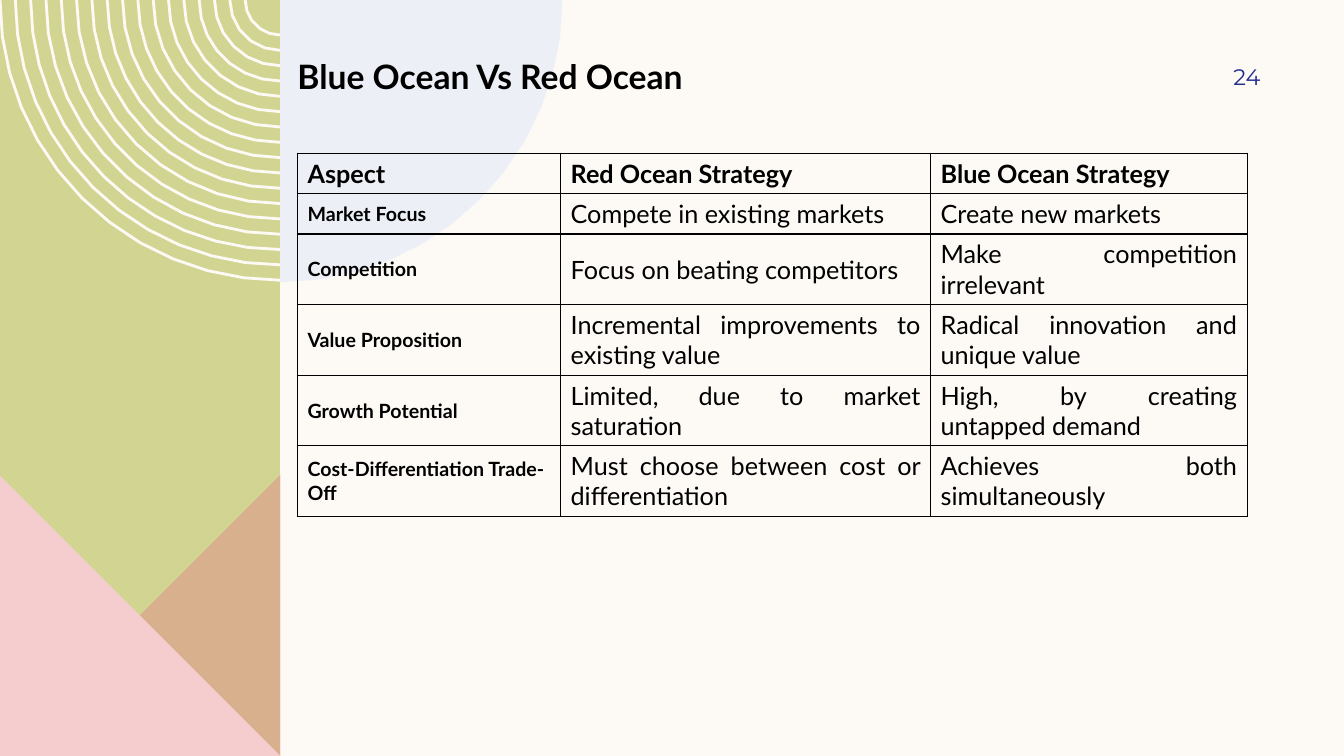
from math import ceil, cos, pi, sin, sqrt

from lxml.etree import SubElement
from pptx import Presentation
from pptx.dml.color import RGBColor
from pptx.enum.text import MSO_ANCHOR, PP_ALIGN
from pptx.oxml.ns import qn
from pptx.util import Inches, Pt

CREAM, GREEN, PINK, ROSE = "FDFAF6", "D2D592", "F5CDCE", "DE8C8C"
PALE_BLUE, NAVY, BLACK = "DDE7F6", "1F2C8F", "000000"
RING_COUNT, RING_STEP, RING_POINTS = 17, 0.152, 2
COLUMN_WIDTHS = [2.61, 3.67, 3.14]
ROW_HEIGHTS = [0.4, 0.4, 0.7, 0.7, 0.7, 0.7]
COMPARISON = [
    ("Aspect", "Red Ocean Strategy", "Blue Ocean Strategy"),
    ("Market Focus", "Compete in existing markets", "Create new markets"),
    ("Competition", "Focus on beating competitors", "Make competition irrelevant"),
    ("Value Proposition", "Incremental improvements to existing value",
     "Radical innovation and unique value"),
    ("Growth Potential", "Limited, due to market saturation",
     "High, by creating untapped demand"),
    ("Cost-Differentiation Trade-Off", "Must choose between cost or differentiation",
     "Achieves both simultaneously"),
]


def rgb(color):
    return RGBColor.from_string(color)


def quarter_arc(center_x, center_y, radius, start):
    """Points of a 90 degree arc; larger arcs get more points."""
    steps = ceil(7 * sqrt(radius))
    angles = [start + pi / 2 * i / steps for i in range(steps + 1)]
    return [(center_x + radius * cos(a), center_y + radius * sin(a)) for a in angles]


def add_freeform(slide, contours, close):
    """Draw contours, given in inches, as one freeform without a shadow."""
    contours = [[(Inches(x), Inches(y)) for x, y in points] for points in contours]
    builder = slide.shapes.build_freeform(*contours[0][0])
    for points in contours:
        if points is not contours[0]:
            builder.move_to(*points[0])
        builder.add_line_segments(points[1:], close=close)
    freeform = builder.convert_to_shape()
    freeform.shadow.inherit = False
    return freeform


def add_area(slide, points, color, opacity=None):
    area = add_freeform(slide, [points], close=True)
    area.line.fill.background()
    area.fill.solid()
    area.fill.fore_color.rgb = rgb(color)
    if opacity:
        fill_color = area.element.spPr.find(qn("a:solidFill"))[0]
        SubElement(fill_color, qn("a:alpha"), val=str(opacity * 1000))


def add_rings(slide, center_x, center_y, outer_radius):
    radii = [outer_radius - i * RING_STEP for i in range(RING_COUNT)]
    arcs = [quarter_arc(center_x, center_y, radius, pi / 2) for radius in radii]
    rings = add_freeform(slide, arcs, close=False)
    rings.fill.background()
    rings.line.color.rgb = rgb(CREAM)
    rings.line.width = Pt(RING_POINTS)


def add_side_panel(slide, left, top, width, height):
    right, bottom = left + width, top + height
    triangle_top = bottom - width
    add_area(slide, [(left, top), (right, top), (right, bottom), (left, bottom)], GREEN)
    add_rings(slide, right, top, width - 0.01)
    add_area(slide, [(right, triangle_top), (right, bottom), (left, bottom)], ROSE, 50)
    add_area(slide, [(left, triangle_top), (right, bottom), (left, bottom)], PINK)
    add_area(slide, [(right, top)] + quarter_arc(right, top, 2.8, 0), PALE_BLUE, 50)


def write(frame, text, size, color=BLACK, font="Lato", bold=False, align=PP_ALIGN.LEFT):
    frame.text = text
    paragraph = frame.paragraphs[0]
    paragraph.alignment = align
    paragraph.font.name = font
    paragraph.font.size = Pt(size)
    paragraph.font.bold = bold
    paragraph.font.color.rgb = rgb(color)


def add_heading(slide, left, top, width, height):
    title = slide.shapes.title
    title.left, title.top = Inches(left), Inches(top)
    title.width, title.height = Inches(width), Inches(height)
    write(title.text_frame, "Blue Ocean Vs Red Ocean", 24, bold=True)
    title.text_frame.vertical_anchor = MSO_ANCHOR.MIDDLE
    # Bring the title in front of the pale blue quarter circle
    title.element.getparent().append(title.element)


def add_page_number(slide, left, top, width, height):
    number = slide.shapes.add_textbox(*map(Inches, (left, top, width, height))).text_frame
    number.word_wrap = True
    number.margin_right = 0
    number.vertical_anchor = MSO_ANCHOR.MIDDLE
    write(number, "24", 16, NAVY, "Montserrat", align=PP_ALIGN.RIGHT)


def set_borders(cell):
    properties = cell._tc.get_or_add_tcPr()
    for side in ("lnL", "lnR", "lnT", "lnB"):
        line = SubElement(properties, qn(f"a:{side}"), w=str(Pt(1)))
        fill = SubElement(line, qn("a:solidFill"))
        SubElement(fill, qn("a:srgbClr"), val=BLACK)


def add_comparison(slide, left, top):
    table = slide.shapes.add_table(
        len(COMPARISON), len(COLUMN_WIDTHS), Inches(left), Inches(top),
        Inches(sum(COLUMN_WIDTHS)), Inches(sum(ROW_HEIGHTS))).table
    table.first_row = table.horz_banding = False
    for column, width in zip(table.columns, COLUMN_WIDTHS):
        column.width = Inches(width)
    for r, (row, height) in enumerate(zip(table.rows, ROW_HEIGHTS)):
        row.height = Inches(height)
        for c, cell in enumerate(row.cells):
            is_header, is_aspect = r == 0, c == 0
            write(cell.text_frame, COMPARISON[r][c],
                  14 if is_aspect and not is_header else 18,
                  bold=is_header or is_aspect,
                  align=PP_ALIGN.LEFT if is_aspect else PP_ALIGN.JUSTIFY)
            cell.vertical_anchor = MSO_ANCHOR.MIDDLE
            set_borders(cell)
            cell.fill.background()


def main():
    presentation = Presentation()
    presentation.slide_width, presentation.slide_height = Inches(13.33), Inches(7.5)
    slide = presentation.slides.add_slide(presentation.slide_layouts[5])
    slide.background.fill.solid()
    slide.background.fill.fore_color.rgb = rgb(CREAM)
    add_side_panel(slide, -0.01, 0, 2.79, 7.5)
    add_page_number(slide, 11.33, 0.5, 1.17, 0.52)
    add_heading(slide, 2.85, 0.5, 9.16, 0.5)
    add_comparison(slide, 2.95, 1.52)
    presentation.save("out.pptx")


if __name__ == "__main__":
    main()
